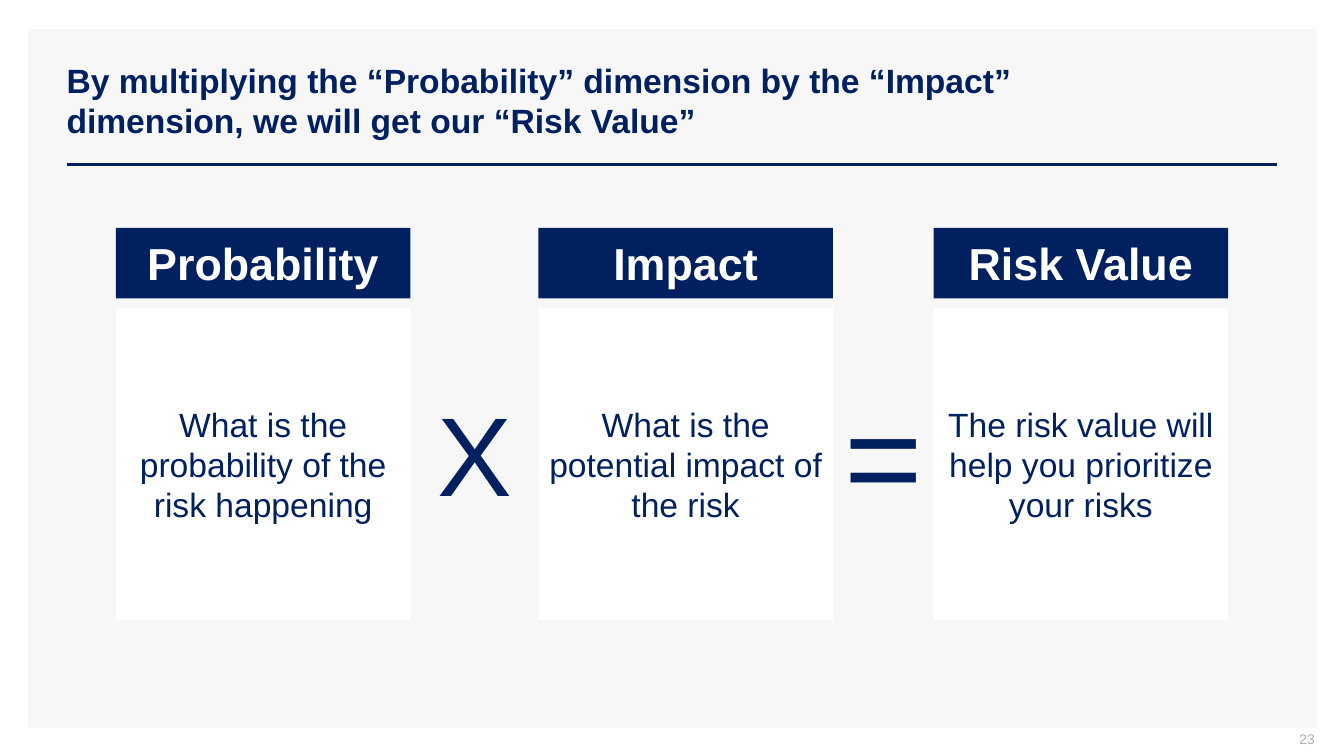
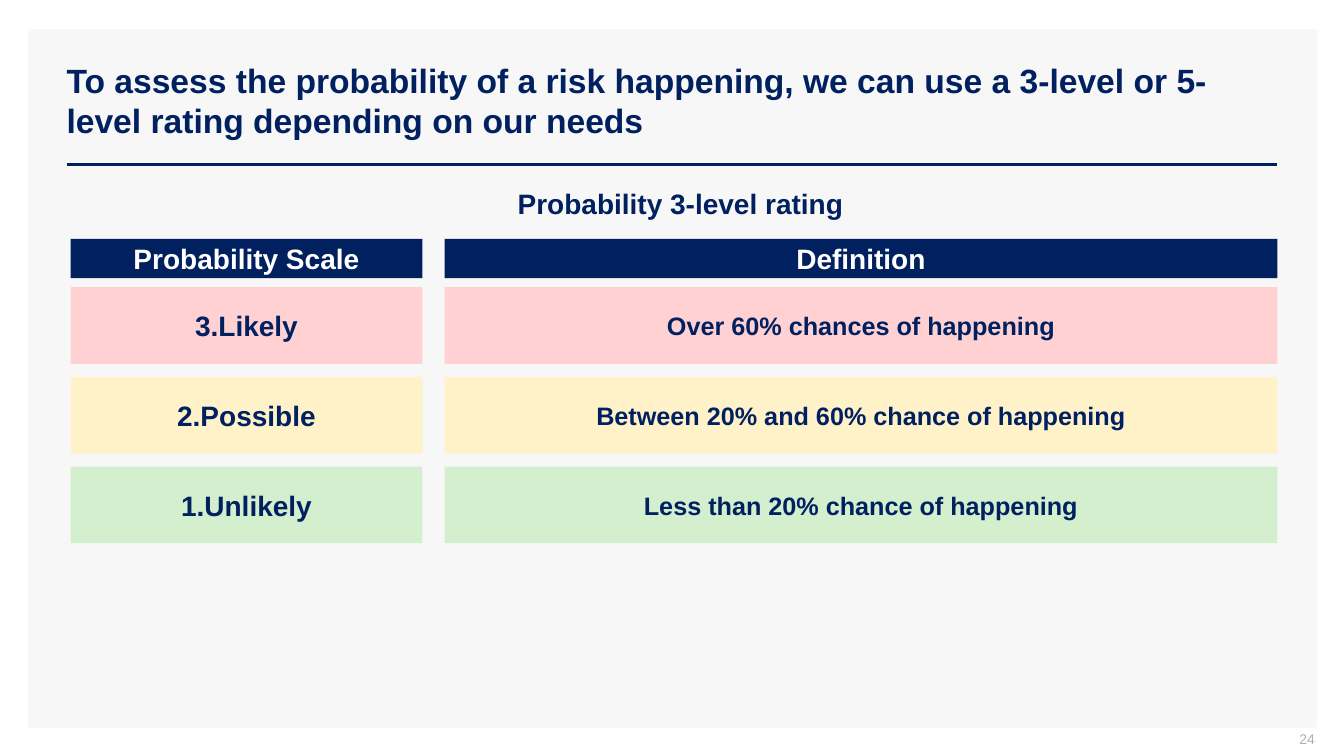
from pptx import Presentation
from pptx.dml.color import RGBColor
from pptx.enum.shapes import MSO_CONNECTOR as CONN, MSO_SHAPE as SHAPE
from pptx.enum.text import MSO_ANCHOR as ANCHOR, MSO_AUTO_SIZE as AUTO, PP_ALIGN as ALIGN
from pptx.oxml.ns import qn
from pptx.util import Emu, Pt
from lxml.etree import SubElement

PX = 9144
FONT = "Arial"
COLORS = {
    "navy": "002060", "white": "FFFFFF", "panel": "F7F7F7", "number": "ADAFBB",
    "red": "FFD1D2", "yellow": "FFF2C9", "green": "D3EFCE",
}


def rgb(name):
    return RGBColor.from_string(COLORS[name])


class Deck:
    """Holds the shared style and the slide being built."""

    def __init__(self, first_number):
        self.prs = Presentation()
        self.prs.slide_width, self.prs.slide_height = self.px(1333, 750)
        self.prs.element.set("firstSlideNum", str(first_number))
        self.number = first_number
        self.s = None

    def px(self, *lengths):
        return [Emu(n * PX) for n in lengths]

    def style(self, font, size, color, bold=False):
        font.name, font.size, font.bold = FONT, Pt(size), bold
        font.color.rgb = rgb(color)

    def set_text(self, sp, text, size, color="navy", bold=False, align=ALIGN.CENTER):
        tf = sp.text_frame
        tf.word_wrap, tf.auto_size = True, AUTO.NONE
        tf.vertical_anchor = ANCHOR.MIDDLE
        p = tf.paragraphs[0]
        p.text, p.alignment = text, align
        self.style(p.font, size, color, bold)

    def slide(self, title, title_width):
        self.s = self.prs.slides.add_slide(self.prs.slide_layouts[5])
        self.box(28, 29, 1278, 693, "panel")
        self.rule(66, 163, 1267)
        sp = self.s.shapes.title
        sp.element.getparent().append(sp.element)
        sp.left, sp.top, sp.width, sp.height = self.px(56, 40, title_width, 119)
        self.set_text(sp, title, 24, bold=True, align=ALIGN.LEFT)
        self.page_number()

    def rule(self, left, y, right):
        line = self.s.shapes.add_connector(CONN.STRAIGHT, *self.px(left, y, right, y))
        line.line.color.rgb, line.line.width = rgb("navy"), Pt(2)
        SubElement(line.element.spPr, qn("a:effectLst"))

    def page_number(self):
        tf = self.s.shapes.add_textbox(*self.px(1004, 725, 300, 21)).text_frame
        tf.word_wrap, tf.vertical_anchor = True, ANCHOR.MIDDLE
        tf.margin_top = tf.margin_right = 0
        p = tf.paragraphs[0]
        p.alignment = ALIGN.RIGHT
        r = p.add_run()
        r.text = str(self.number)
        self.style(r.font, 10, "number")
        field = r._r
        field.tag = qn("a:fld")
        field.set("id", "{B6F15528-21DE-4FAA-801E-634DDDAF4B2B}")
        field.set("type", "slidenum")
        self.number += 1

    def box(self, x, y, w, h, fill, text="", size=20, color="navy", bold=False):
        sp = self.s.shapes.add_shape(SHAPE.RECTANGLE, *self.px(x, y, w, h))
        sp.shadow.inherit = False
        sp.fill.solid()
        sp.fill.fore_color.rgb = rgb(fill)
        sp.line.fill.background()
        if text:
            self.set_text(sp, text, size, color, bold)

    def header(self, x, y, w, h, text, size):
        self.box(x, y, w, h, "navy", text, size, "white", True)

    def label(self, x, y, w, h, text, size, bold=False):
        sp = self.s.shapes.add_textbox(*self.px(x, y, w, h))
        self.set_text(sp, text, size, bold=bold)


def formula_slide(deck):
    deck.slide("By multiplying the “Probability” dimension by the “Impact” "
               "dimension, we will get our “Risk Value”", 1142)
    width = 292
    factors = [
        (115, "Probability", "What is the probability of the risk happening"),
        (534, "Impact", "What is the potential impact of the risk"),
        (926, "Risk Value", "The risk value will help you prioritize your risks"),
    ]
    for x, name, question in factors:
        deck.header(x, 226, width, 70, name, 32)
        deck.box(x, 306, width, 309, "white", question, 24)
    signs = [("X", 80, 145), ("=", 96, 172)]
    for (sign, size, height), before, after in zip(signs, factors, factors[1:]):
        middle = (before[0] + width + after[0]) // 2
        deck.label(middle - 134, 448 - height // 2, 269, height, sign, size)


def rating_slide(deck):
    deck.slide("To assess the probability of a risk happening, we can use a "
               "3-level or 5-level rating depending on our needs", 1175)
    columns = [(70, 349, "Probability Scale", 20), (441, 826, "Definition", 18)]
    levels = [
        ("red", "3.Likely", "Over 60% chances of happening"),
        ("yellow", "2.Possible", "Between 20% and 60% chance of happening"),
        ("green", "1.Unlikely", "Less than 20% chance of happening"),
    ]
    deck.label(365, 180, 620, 44, "Probability 3-level rating", 20, True)
    for col, (x, w, heading, size) in enumerate(columns):
        deck.header(x, 237, w, 39, heading, 20)
        for row, (fill, *texts) in enumerate(levels):
            deck.box(x, 285 + 89 * row, w, 76, fill, texts[col], size, bold=True)


def main():
    deck = Deck(23)
    formula_slide(deck)
    rating_slide(deck)
    deck.prs.save("out.pptx")


if __name__ == "__main__":
    main()
